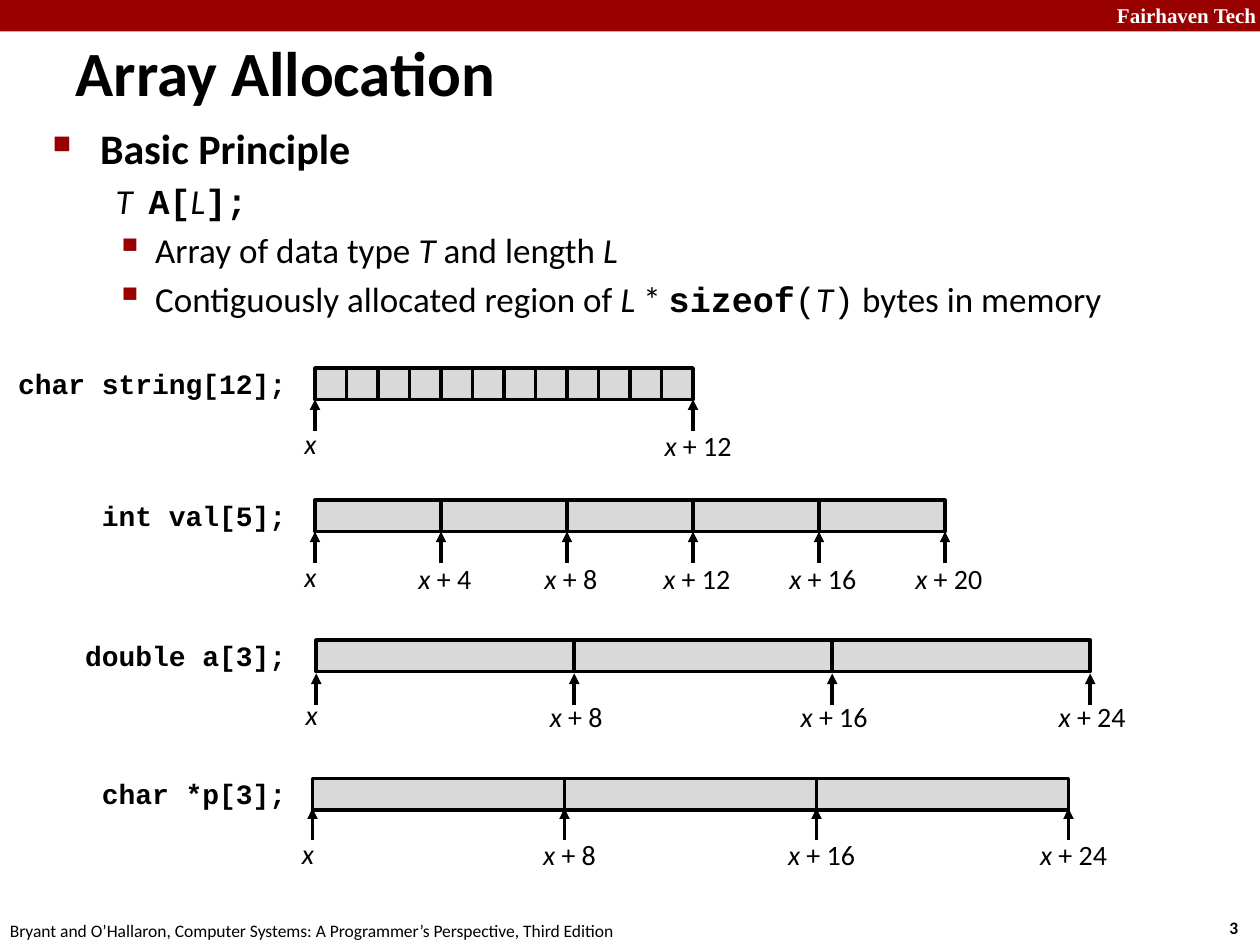
from lxml import etree
from pptx import Presentation
from pptx import util as u
from pptx.dml.color import RGBColor
from pptx.enum import shapes, text
from pptx.oxml import ns

RED = RGBColor(0x99, 0x00, 0x00)
GREY = RGBColor(0xD9, 0xD9, 0xD9)
BLACK = RGBColor(0, 0, 0)
WHITE = RGBColor(255, 255, 255)
SANS, MONO, SERIF = "Calibri", "Courier New", "Times New Roman"
PLAIN = {"name": SANS, "bold": False, "italic": False}
ITAL = {**PLAIN, "italic": True}
BOLD = {**PLAIN, "bold": True}
CODE = {**BOLD, "name": MONO}
THIN = {**PLAIN, "name": MONO}
ALIGN = text.PP_ALIGN

deck = Presentation()
deck.slide_width, deck.slide_height = u.Inches(10), u.Inches(7.5)
slide = deck.slides.add_slide(deck.slide_layouts[5])
UNIT = deck.slide_width // 40  # grid of 40 columns by 30 rows


def write(para, runs, size, color=BLACK):
    for words, style in runs:
        run = para.add_run()
        run.text = words
        for key, value in {**style, "size": u.Pt(size)}.items():
            setattr(run.font, key, value)
        run.font.color.rgb = color


def label(spot, runs, size, align=ALIGN.LEFT, color=BLACK, wrap=True):
    box = slide.shapes.add_textbox(*[round(n * UNIT) for n in spot])
    box.text_frame.word_wrap = wrap
    para = box.text_frame.paragraphs[0]
    para.alignment = align
    write(para, runs, size, color)


# Header band and footer
band = slide.shapes.add_shape(shapes.MSO_SHAPE.RECTANGLE, 0, 0, 40 * UNIT, UNIT)
band.shadow.inherit = False
band.fill.solid()
band.fill.fore_color.rgb = RED
band.line.fill.background()
label((34.56, -0.12, 5.72, 1.2), [("Fairhaven Tech", {**BOLD, "name": SERIF})], 12,
      ALIGN.RIGHT, WHITE)
label((38.64, 28.92, 1.48, 1.08), [("3", BOLD)], 10, wrap=False)
label((-0.08, 29, 20.32, 1.08),
      [("Bryant and O’Hallaron, Computer Systems: A Programmer’s Perspective, "
        "Third Edition", PLAIN)], 10, wrap=False)

# Title
title = slide.shapes.title
title.left, title.top, title.width, title.height = 2 * UNIT, UNIT, 26 * UNIT, round(2.52 * UNIT)
title.text_frame.vertical_anchor = text.MSO_ANCHOR.MIDDLE
title.text_frame.paragraphs[0].alignment = ALIGN.LEFT
write(title.text_frame.paragraphs[0], [("Array Allocation", BOLD)], 36)

# Principle: bullet, bullet size in percent, indent, hang, text size, runs
POINTS = [
    ("■", 60, 1.5, 1.5, 24, [("Basic Principle", BOLD)]),
    (None, 0, 3.25, 1.25, 20,
     [("T  ", ITAL), ("A[", CODE), ("L", ITAL), ("];", CODE)]),
    ("▪", 110, 3.25, 1.25, 20,
     [("Array of data type ", PLAIN), ("T", ITAL), (" and length ", PLAIN), ("L", ITAL)]),
    ("▪", 110, 3.25, 1.25, 20,
     [("Contiguously allocated region of ", PLAIN), ("L", ITAL), (" * ", PLAIN),
      ("sizeof", CODE), ("(", THIN), ("T", ITAL), (")", THIN),
      (" bytes in memory", PLAIN)]),
]
body = slide.shapes.add_textbox(*[round(n * UNIT) for n in (1.28, 3.68, 36.36, 7.08)])
body.text_frame.word_wrap = True
for i, (mark, share, indent, hang, size, runs) in enumerate(POINTS):
    para = body.text_frame.add_paragraph() if i else body.text_frame.paragraphs[0]
    props = para._p.get_or_add_pPr()
    props.set("marL", str(round(indent * UNIT)))
    props.set("indent", str(round(-hang * UNIT)))
    space = etree.SubElement(props, ns.qn("a:spcBef"))
    etree.SubElement(space, ns.qn("a:spcPct"), val="20000")
    if mark:
        tint = etree.SubElement(props, ns.qn("a:buClr"))
        etree.SubElement(tint, ns.qn("a:srgbClr"), val=str(RED))
        etree.SubElement(props, ns.qn("a:buSzPct"), val=str(share * 1000))
        etree.SubElement(props, ns.qn("a:buChar"), char=mark)
    else:
        etree.SubElement(props, ns.qn("a:buNone"))
    write(para, runs, size)

# Arrays: code, left, top, cell width, count, bytes per cell, cells per tick,
# arrow tip below top, label shift, label drop
ARRAYS = [
    ("char string[12];", 10, 11.68, 1, 12, 1, 12, 1, 0.16, 1.72),
    ("int val[5];", 10, 15.88, 4, 5, 4, 1, 1, 0.12, 1.74),
    ("double a[3];", 10.04, 20.32, 8.19, 3, 8, 1, 1.06, 0.06, 1.68),
    ("char *p[3];", 9.92, 24.72, 8, 3, 8, 1, 0.94, 0.16, 1.68),
]
for code, left, top, wide, count, size, step, tip, shift, drop in ARRAYS:
    label((0.12, top - 0.25, 9.36, 1.48), [(code, CODE)], 16, ALIGN.RIGHT)
    for i in range(count):
        spot = (left + i * wide, top, wide, 1)
        cell = slide.shapes.add_shape(shapes.MSO_SHAPE.RECTANGLE,
                                      *[round(n * UNIT) for n in spot])
        cell.shadow.inherit = False
        cell.fill.solid()
        cell.fill.fore_color.rgb = GREY
        cell.line.color.rgb = BLACK
        cell.line.width = u.Pt(2)

    # Addresses
    for i in range(0, count + 1, step):
        x = left + i * wide
        ends = (x, top + tip + 1, x, top + tip)
        arrow = slide.shapes.add_connector(shapes.MSO_CONNECTOR.STRAIGHT,
                                           *[round(n * UNIT) for n in ends])
        arrow.line.color.rgb = BLACK
        arrow.line.width = u.Pt(2)
        etree.SubElement(arrow.line._get_or_add_ln(), ns.qn("a:tailEnd"), type="triangle")
        etree.SubElement(arrow._element.spPr, ns.qn("a:effectLst"))
        if i:
            label((x + shift - 2.16, top + drop, 4.32, 1.48),
                  [("x ", ITAL), (f"+ {i * size}", PLAIN)], 16, ALIGN.CENTER)
        else:
            label((x - 1, top + drop - 0.05, 1.72, 1.48), [("x", ITAL)], 16, ALIGN.CENTER)

deck.save("out.pptx")
